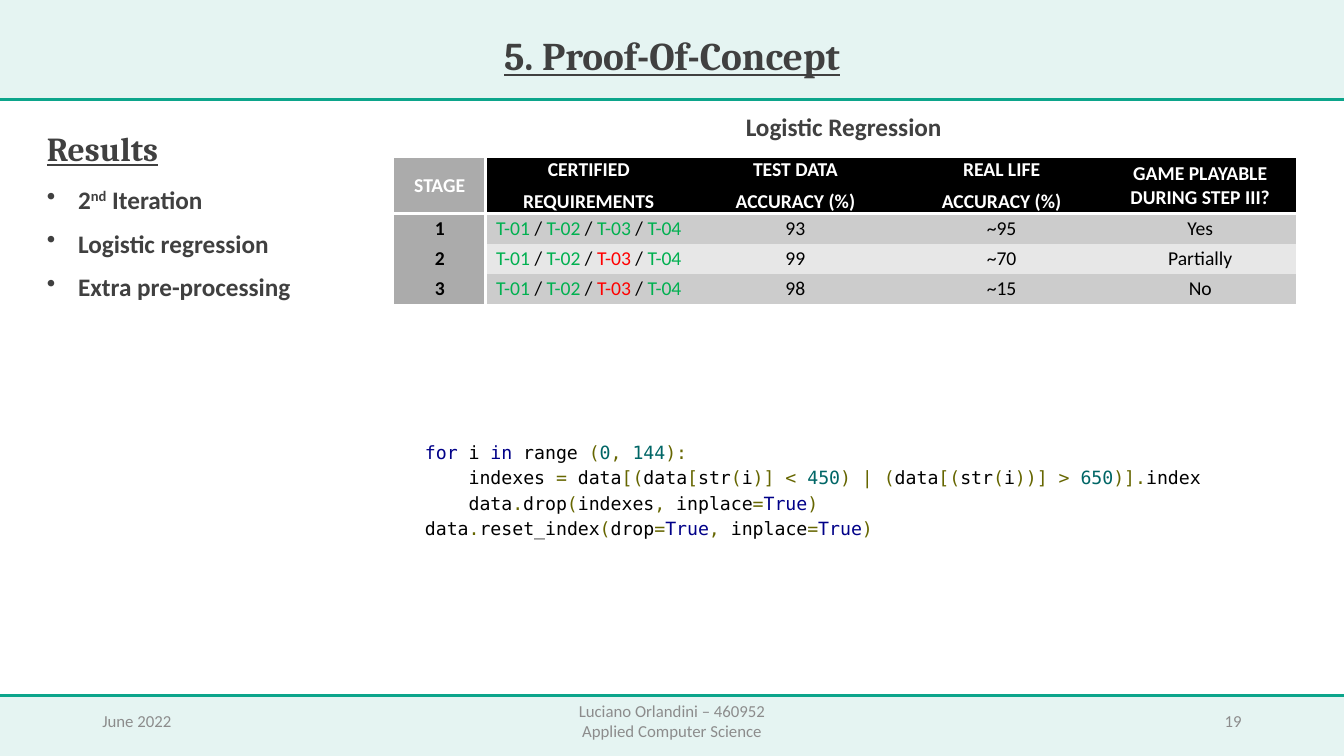
from dataclasses import dataclass
from itertools import groupby

from lxml import etree
from pptx import Presentation, util as u
from pptx.dml.color import RGBColor
from pptx.enum import shapes, text
from pptx.oxml import ns

LEFT, CENTER, RIGHT = text.PP_ALIGN.LEFT, text.PP_ALIGN.CENTER, text.PP_ALIGN.RIGHT
COLUMNS, ROWS = 160, 90


@dataclass(frozen=True)
class Type:
    size: float
    colour: str
    bold: bool = False
    underline: bool = False
    face: str = "Calibri"


class Theme:
    teal, rule = "009C87", "0CA58B"
    white, black = "FFFFFF", "000000"
    stage = "ABABAB"
    bands = ("CCCCCC", "E7E7E7")
    passed, failed = "00B050", "FF0000"
    keyword, number, symbol = "000088", "006666", "666600"
    title = Type(28, "404040", True, True, "Cambria")
    heading = Type(24, "404040", True, True, "Cambria")
    label = Type(18, "404040", True)
    footer = Type(12, "8C8C8C")
    header = Type(14, white, True)
    stage_number = Type(14, black, True)
    cell = Type(14, black)
    code = Type(13, black, face="DejaVu Sans Mono")


def add_xml(parent, tag, index=None, **attributes):
    element = etree.Element(ns.qn(tag), attributes)
    parent.insert(len(parent) if index is None else index, element)
    return element


def code_spans(line):
    """Split a line of code into (word, colour) pairs."""
    def colour(word):
        if word in ("for", "in", "True"):
            return Theme.keyword
        if word.isdigit():
            return Theme.number
        return Theme.black if word[0].isalnum() else Theme.symbol

    words = ("".join(group) for _, group in groupby(line, lambda c: c.isalnum() or c == "_"))
    return [(word, colour(word)) for word in words]


def requirement_spans(failed):
    """List the four requirements, with the failed ones in red."""
    spans = []
    for number in range(1, 5):
        if spans:
            spans.append((" / ", Theme.black))
        spans.append((f"T-0{number}", Theme.failed if number in failed else Theme.passed))
    return spans


class SlideBuilder:
    """Draws on one slide; lengths are columns and rows of a 160 by 90 grid."""

    def __init__(self, deck):
        self.slide = deck.slides.add_slide(deck.slide_layouts[6])
        self.column = deck.slide_width / COLUMNS
        self.row = deck.slide_height / ROWS

    def across(self, columns):
        return u.Emu(round(columns * self.column))

    def down(self, rows):
        return u.Emu(round(rows * self.row))

    def place(self, left, top, width, height):
        return self.across(left), self.down(top), self.across(width), self.down(height)

    def band(self, top, height):
        box = self.slide.shapes.add_shape(
            shapes.MSO_SHAPE.RECTANGLE, *self.place(0, top, COLUMNS, height))
        box.shadow.inherit = False
        box.line.fill.background()
        box.fill.solid()
        box.fill.fore_color.rgb = RGBColor.from_string(Theme.teal)
        colour = box._element.spPr.find(".//" + ns.qn("a:srgbClr"))
        add_xml(colour, "a:alpha", val="10000")

    def rule(self, top):
        line = self.slide.shapes.add_connector(
            shapes.MSO_CONNECTOR.STRAIGHT, 0, self.down(top), self.across(COLUMNS), self.down(top))
        line.line.color.rgb = RGBColor.from_string(Theme.rule)
        line.line.width = u.Pt(2.25)
        add_xml(line._element.spPr, "a:effectLst")

    def fill_frame(self, frame, paragraphs, style, align=LEFT, after=0, spacing=None,
                   indent=0, bullet=None):
        """Fill a frame; a paragraph is a string or a list of (text, colour) spans."""
        for index, spans in enumerate(paragraphs):
            para = frame.paragraphs[0] if index == 0 else frame.add_paragraph()
            para.alignment = align
            para.space_after = u.Pt(after)
            if spacing:
                para.line_spacing = spacing
            properties = para._p.get_or_add_pPr()
            properties.set("marL", str(u.Inches(indent)))
            if bullet:
                properties.set("indent", str(-u.Inches(indent)))
                add_xml(properties, "a:buChar", char=bullet)
            font = para.font
            font.name, font.size = style.face, u.Pt(style.size)
            font.bold, font.underline = style.bold, style.underline
            font.color.rgb = RGBColor.from_string(style.colour)
            for words, colour in [(spans, None)] if isinstance(spans, str) else spans:
                span = para.add_run()
                span.text = words
                if colour:
                    span.font.color.rgb = RGBColor.from_string(colour)

    def text(self, place, paragraphs, style, middle=False, **layout):
        frame = self.slide.shapes.add_textbox(*self.place(*place)).text_frame
        frame.word_wrap = True
        if middle:
            frame.vertical_anchor = text.MSO_ANCHOR.MIDDLE
        self.fill_frame(frame, paragraphs, style, **layout)
        return frame

    def border(self, cell, side):
        line = add_xml(cell._tc.get_or_add_tcPr(), f"a:ln{side}", 0, w=str(u.Pt(2)))
        add_xml(add_xml(line, "a:solidFill"), "a:srgbClr", val=Theme.white)

    def table(self, left, top, widths, heights, rows):
        table = self.slide.shapes.add_table(
            len(rows), len(widths), *self.place(left, top, sum(widths), sum(heights))).table
        table.first_row = table.horz_banding = False
        no_grid = "{2D5ABB26-0587-4C30-8999-92F81FD0307C}"
        table._tbl.tblPr.find(ns.qn("a:tableStyleId")).text = no_grid
        for column, width in zip(table.columns, widths):
            column.width = self.across(width)
        for y, (height, values) in enumerate(zip(heights, rows)):
            table.rows[y].height = self.down(height)
            for x, paragraphs in enumerate(values):
                cell = table.cell(y, x)
                cell.margin_left = cell.margin_right = u.Inches(0.07)
                cell.margin_top = cell.margin_bottom = 0
                cell.vertical_anchor = text.MSO_ANCHOR.MIDDLE
                header, stage = y == 0, x == 0
                fill = (Theme.stage if stage else Theme.black if header
                        else Theme.bands[(y - 1) % 2])
                cell.fill.solid()
                cell.fill.fore_color.rgb = RGBColor.from_string(fill)
                if header:
                    self.border(cell, "B")
                if stage:
                    self.border(cell, "R")
                style = (Theme.header if header else Theme.stage_number if stage
                         else Theme.cell)
                self.fill_frame(cell.text_frame, paragraphs, style, align=CENTER, after=6)


def main():
    deck = Presentation()
    deck.slide_width, deck.slide_height = u.Inches(13.33), u.Inches(7.5)
    page = SlideBuilder(deck)

    page.band(0, 12)
    page.band(82.8, 7.2)
    page.text((32.8, 2.8, 94.4, 6.8), ["5. Proof-Of-Concept"], Theme.title,
              align=CENTER, after=8, spacing=1.07)
    for top in (11.9, 82.8):
        page.rule(top)

    footers = [
        (113, 36, RIGHT, ["19"]),
        (53, 54, CENTER, ["Luciano Orlandini – 460952", "Applied Computer Science"]),
        (11, 36, LEFT, ["June 2022"]),
    ]
    for left, width, align, lines in footers:
        page.text((left, 83.4, width, 4.8), lines, Theme.footer, middle=True, align=align)

    header = [["STAGE"], ["CERTIFIED", "REQUIREMENTS"], ["TEST DATA", "ACCURACY (%)"],
              ["REAL LIFE", "ACCURACY (%)"], ["GAME PLAYABLE DURING STEP III?"]]
    stages = [("1", (), "93", "~95", "Yes"),
              ("2", (3,), "99", "~70", "Partially"),
              ("3", (3,), "98", "~15", "No")]
    body = [[[stage], [requirement_spans(failed)], *([result] for result in results)]
            for stage, failed, *results in stages]
    page.table(46.9, 18.8, [10.9, 24.6, 24.6, 24.5, 22.8], [6.5] + [3.6] * 3, [header] + body)

    page.text((4.4, 14.3, 39.6, 6.1), ["Results"], Theme.heading, after=8, spacing=1.07)
    page.text((84.5, 12.7, 31.9, 4.8), ["Logistic Regression"], Theme.label,
              align=CENTER, after=8)
    points = page.text(
        (4.4, 21.1, 38.4, 15.4),
        [[("2", None), ("nd", None), (" Iteration", None)],
         "Logistic regression", "Extra pre-processing"],
        Theme.label, after=8, spacing=1.07, indent=0.31, bullet="•")
    ordinal = points.paragraphs[0].runs[1]
    ordinal._r.get_or_add_rPr().set("baseline", "30000")

    code = [
        "for i in range (0, 144):",
        "    indexes = data[(data[str(i)] < 450) | (data[(str(i))] > 650)].index",
        "    data.drop(indexes, inplace=True)",
        "data.reset_index(drop=True, inplace=True)",
    ]
    page.text((47, 51.6, 107.4, 13.1), [code_spans(line) for line in code], Theme.code,
              spacing=1.15, indent=0.2)
    deck.save("out.pptx")


if __name__ == "__main__":
    main()
